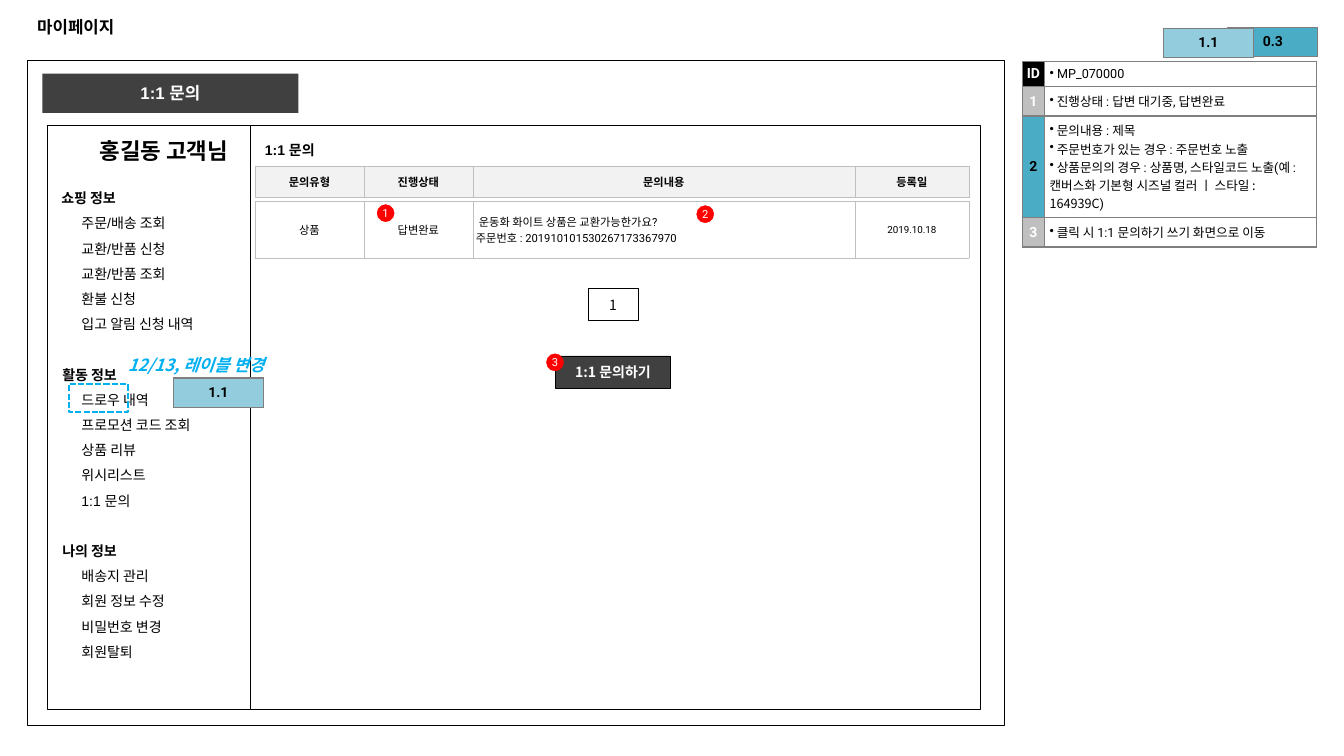
from lxml import etree
from pptx import Presentation
from pptx.dml.color import RGBColor
from pptx.enum.dml import MSO_LINE
from pptx.enum.shapes import MSO_SHAPE as SHAPE
from pptx.enum.text import MSO_ANCHOR as ANCHOR, PP_ALIGN as ALIGN
from pptx.oxml.ns import qn
from pptx.util import Inches, Pt

BLACK = RGBColor(0x00, 0x00, 0x00)
WHITE = RGBColor(0xFF, 0xFF, 0xFF)
DARK = RGBColor(0x40, 0x40, 0x40)
GRAY = RGBColor(0x7F, 0x7F, 0x7F)
SILVER = RGBColor(0xBF, 0xBF, 0xBF)
PALE = RGBColor(0xF2, 0xF2, 0xF2)
TEAL = RGBColor(0x4B, 0xAC, 0xC6)
AQUA = RGBColor(0x93, 0xCD, 0xDD)
CYAN = RGBColor(0x00, 0xB0, 0xF0)
RED = RGBColor(0xFF, 0x00, 0x00)

ARIAL, ROBOTO, NOTO = "Arial", "Roboto", "Noto Sans CJK KR"

MENU = [
    ("쇼핑 정보", ["주문/배송 조회", "교환/반품 신청", "교환/반품 조회",
               "환불 신청", "입고 알림 신청 내역"]),
    ("활동 정보", ["드로우 내역", "프로모션 코드 조회", "상품 리뷰",
               "위시리스트", "1:1 문의"]),
    ("나의 정보", ["배송지 관리", "회원 정보 수정", "비밀번호 변경", "회원탈퇴"]),
]
# id, row height, id fill, id colour, notes (a tuple alternates Roboto and Noto)
SPECS = [
    ("ID", 0.25, BLACK, WHITE, [" MP_070000"]),
    ("1", 0.29, SILVER, WHITE, [" 진행상태 : 답변 대기중, 답변완료"]),
    ("2", 1.01, TEAL, BLACK, [
        " 문의내용 : 제목",
        " 주문번호가 있는 경우 : 주문번호 노출",
        (" 상품문의의 경우 : 상품명, 스타일코드 노출(예 : ",
         "캔버스화 기본형 시즈널 컬러 ㅣ 스타일 : 164939C", ")")]),
    ("3", 0.29, SILVER, WHITE, [" 클릭 시 1:1 문의하기 쓰기 화면으로 이동"]),
]
HEADS = ["문의유형", "진행상태", "문의내용", "등록일"]
ENTRY = ["상품", "답변완료",
         ["운동화 화이트 상품은 교환가능한가요?", "주문번호 : 201910101530267173367970"],
         "2019.10.18"]
COLS = [1.08, 1.08, 3.79, 1.13]
MARKS = [("1", 3.74, 2.03), ("2", 6.91, 2.04), ("3", 5.42, 3.51)]
TAGS = [("0.3", 12.18, 0.27, TEAL), ("1.1", 11.54, 0.28, AQUA),
        ("1.1", 1.72, 3.75, AQUA)]

deck = Presentation()
deck.slide_width, deck.slide_height = Inches(13.33), Inches(7.5)
slide = deck.slides.add_slide(deck.slide_layouts[6])
shapes = slide.shapes


def style(para, size, face, color=BLACK, bold=False, align=None):
    font = para.font
    font.size, font.name, font.bold = Pt(size), face, bold
    font.color.rgb = color
    para.alignment = align


def indent(para, left):
    props = para._p.get_or_add_pPr()
    props.set("marL", str(Inches(left)))
    props.set("indent", "0")
    return props


def inset(frame, gap):
    frame.margin_left = frame.margin_right = Inches(gap)
    frame.margin_top = frame.margin_bottom = Inches(gap)


def paint(item, color):
    if color is None:
        item.fill.background()
    else:
        item.fill.solid()
        item.fill.fore_color.rgb = color


def add_box(at, fill=None, line=None, width=0.25, kind=SHAPE.RECTANGLE):
    box = shapes.add_shape(kind, *map(Inches, at))
    box.shadow.inherit = False
    paint(box, fill)
    if line is None:
        box.line.fill.background()
    else:
        box.line.color.rgb = line
        box.line.width = Pt(width)
    return box


def label(box, text, size, face, color):
    frame = box.text_frame
    frame.vertical_anchor = ANCHOR.MIDDLE
    para = frame.paragraphs[0]
    para.text = text
    style(para, size, face, color, face != ROBOTO and color == WHITE, ALIGN.CENTER)


def add_text(at, text, size, face=ARIAL, color=BLACK, anchor=ANCHOR.TOP, space=None):
    frame = shapes.add_textbox(*map(Inches, at)).text_frame
    frame.word_wrap = True
    frame.vertical_anchor = anchor
    para = frame.paragraphs[0]
    para.text = text
    para.line_spacing = space
    style(para, size, face, color, True)
    return frame


def add_grid(left, top, cols, rows):
    part = shapes.add_table(len(rows), len(cols), Inches(left), Inches(top),
                            Inches(sum(cols)), Inches(sum(rows)))
    grid = part.table
    grid.first_row = grid.horz_banding = False
    for col, width in zip(grid.columns, cols):
        col.width = Inches(width)
    for row, height in zip(grid.rows, rows):
        row.height = Inches(height)
    return grid


def set_cell(cell, lines, fill, edge, width, size, color=BLACK, bold=False,
             align=ALIGN.CENTER, gap=0, lefts=None, bullet=False):
    props = cell._tc.get_or_add_tcPr()
    for side in ("a:lnL", "a:lnR", "a:lnT", "a:lnB"):
        line = etree.SubElement(props, qn(side), w=str(Pt(width)))
        solid = etree.SubElement(line, qn("a:solidFill"))
        etree.SubElement(solid, qn("a:srgbClr"), val=str(edge))
    paint(cell, fill)
    cell.vertical_anchor = ANCHOR.MIDDLE
    inset(cell, gap)
    frame = cell.text_frame
    for i, text in enumerate([lines] if isinstance(lines, str) else lines):
        para = frame.paragraphs[0] if i == 0 else frame.add_paragraph()
        if lefts:
            indent(para, lefts[i])
        if bullet:
            etree.SubElement(indent(para, 0), qn("a:buChar"), char="•")
        style(para, size, ROBOTO, color, bold, align)
        for j, piece in enumerate((text,) if isinstance(text, str) else text):
            run = para.add_run()
            run.text = piece
            if j % 2:
                run.font.name = NOTO


# Page frame and heading
add_box((0.27, 0.6, 9.69, 6.6), line=BLACK, width=0.75)
add_text((0.27, 0.07, 12.79, 0.39), "마이페이지", 12, anchor=ANCHOR.MIDDLE)
add_box((0.47, 1.24, 2.02, 5.8), WHITE, BLACK)
label(add_box((0.42, 0.73, 2.54, 0.39), DARK), "1:1 문의", 12, ARIAL, WHITE)

# Notes
notes = add_grid(10.14, 0.61, [0.22, 2.7], [spec[1] for spec in SPECS])
for r, (key, _, fill, color, lines) in enumerate(SPECS):
    set_cell(notes.cell(r, 0), key, fill, GRAY, 1, 10, color, True)
    set_cell(notes.cell(r, 1), lines, None, GRAY, 1, 9, align=ALIGN.LEFT,
             gap=0.05, bullet=True)

# Side menu
menu = shapes.add_textbox(*map(Inches, (0.51, 1.75, 1.97, 4.73))).text_frame
menu.word_wrap = True
for g, (head, items) in enumerate(MENU):
    for i, text in enumerate([head] + items):
        first = g == 0 and i == 0
        para = menu.paragraphs[0] if first else menu.add_paragraph()
        para.text = text
        indent(para, 0.2 if i else 0.01 if g else 0)
        para.line_spacing = Pt(18)
        if g and i == 0:
            para.space_before = Pt(18)
        style(para, 10, ARIAL, bold=i == 0)
add_text((0.89, 1.33, 1.72, 0.33), "홍길동 고객님", 16, space=Pt(18))

# Inquiry list
add_box((2.48, 1.24, 7.24, 5.8), WHITE, BLACK)
add_text((2.53, 1.28, 1.97, 0.33), "1:1 문의", 10, anchor=ANCHOR.MIDDLE, space=Pt(18))
entry = add_grid(2.53, 2, COLS, [0.56])
heads = add_grid(2.53, 1.65, COLS, [0.31])
for c, (head, text) in enumerate(zip(HEADS, ENTRY)):
    body = isinstance(text, list)
    set_cell(heads.cell(0, c), head, PALE, SILVER, 0.25, 8, bold=True)
    set_cell(entry.cell(0, c), text, WHITE, SILVER, 0.25, 7 if c == 3 else 8,
             align=ALIGN.LEFT if body else ALIGN.CENTER,
             lefts=[0.06, 0.03] if body else None)

label(add_box((5.51, 3.53, 1.14, 0.32), DARK, BLACK), "1:1 문의하기", 10, NOTO, WHITE)
label(add_box((5.83, 2.86, 0.5, 0.32), WHITE, BLACK), "1", 10, NOTO, BLACK)

# Markers and version tags
for key, left, top in MARKS:
    mark = add_box((left, top, 0.17, 0.17), RED, RED, kind=SHAPE.OVAL)
    inset(mark.text_frame, 0)
    label(mark, key, 8, ROBOTO, WHITE)
for text, left, top, fill in TAGS:
    tag = add_grid(left, top, [0.89], [0.29])
    set_cell(tag.cell(0, 0), text, fill, GRAY, 1, 10, bold=True)

change = add_text((1.17, 3.47, 1.67, 0.3), "12/13, 레이블 변경", 12, NOTO, CYAN)
change.word_wrap = False
change.paragraphs[0].font.italic = True
dash = add_box((0.68, 3.81, 0.59, 0.28), line=CYAN, width=1.5)
dash.line.dash_style = MSO_LINE.SQUARE_DOT

deck.save("out.pptx")
